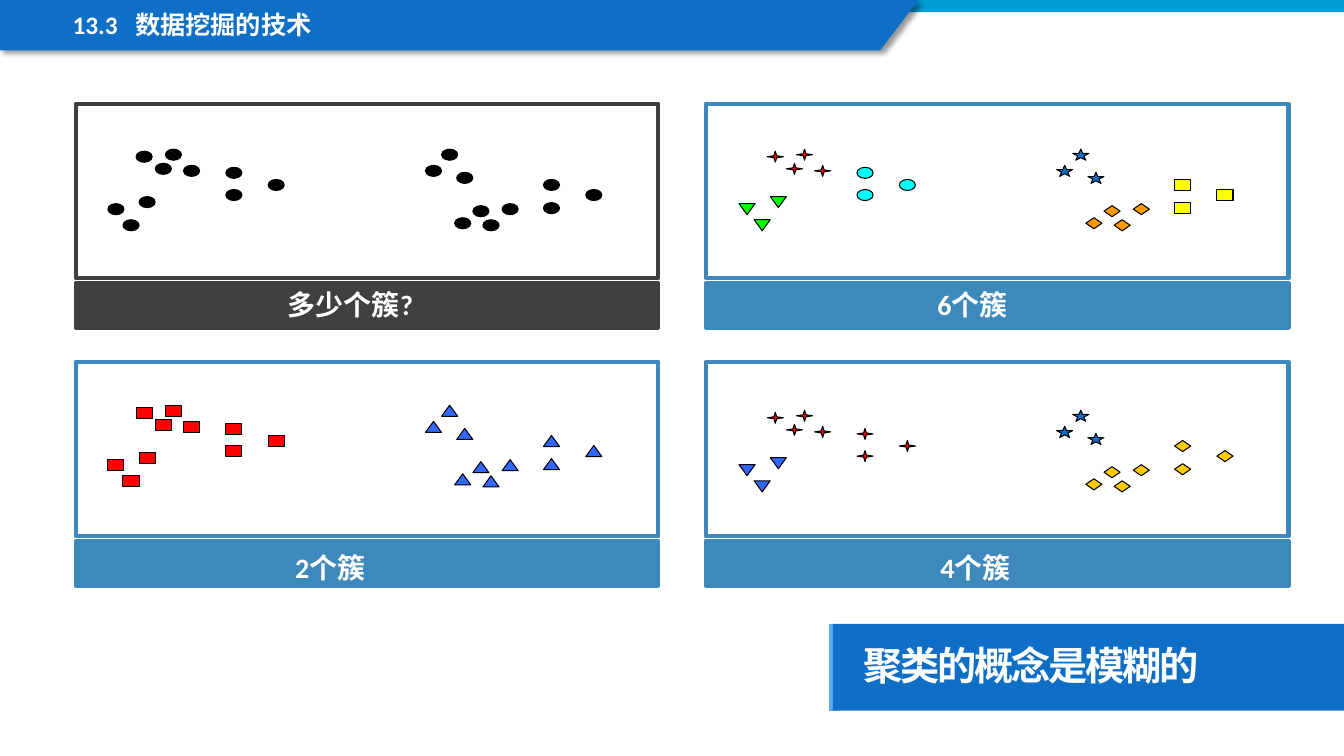
from lxml import etree
from pptx import Presentation, util as u
from pptx.dml.color import RGBColor
from pptx.enum import shapes, text
from pptx.oxml.ns import qn

PX = 9144  # EMU per px, 100 px to the inch
KIND = shapes.MSO_SHAPE
BLUE, PANEL_BLUE, DARK, WHITE = "0F6FC6", "3D89BC", "404040", "FFFFFF"
MARK_WIDTH, MARK_HEIGHT = 16, 11
PANEL_WIDTH, PANEL_HEIGHT = 578, 173
BAR_OFFSET, BAR_HEIGHT = 178, 44

# Point positions of the six natural clusters, in the first panel
CLUSTERS = {
    "left top": [(182, 164), (135, 150), (164, 148), (154, 162)],
    "left low": [(138, 195), (107, 202), (122, 218)],
    "left middle": [(224, 166), (266, 178), (224, 188)],
    "right top": [(453, 171), (422, 164), (438, 148)],
    "right low": [(498, 202), (451, 216), (479, 218), (469, 204)],
    "right far": [(539, 201), (581, 188), (539, 178)],
}

# Marks follow the order of CLUSTERS
DOT = (KIND.OVAL, "000000")
SQUARE = (KIND.RECTANGLE, "FF0000")
TRIANGLE = (KIND.ISOSCELES_TRIANGLE, "3366FF")
SPARK = (KIND.STAR_4_POINT, "FF0000")
STAR = (KIND.STAR_5_POINT, BLUE)
GOLD_DIAMOND = (KIND.DIAMOND, "FFCC00")
SIX_MARKS = [SPARK, (KIND.ISOSCELES_TRIANGLE, "00FF00"), (KIND.OVAL, "00FFFF"),
             STAR, (KIND.DIAMOND, "FF9900"), (KIND.RECTANGLE, "FFFF00")]
FOUR_MARKS = [SPARK, (KIND.FLOWCHART_EXTRACT, "3366FF"), SPARK,
              STAR, GOLD_DIAMOND, GOLD_DIAMOND]

# Panel corner, colour, caption, caption corner, shift of the marks, marks
PANELS = [
    ((75, 103), DARK, "多少个簇?", (180, 280), (0, 0), [DOT] * 6),
    ((700, 103), PANEL_BLUE, "6个簇", (797, 280), (626, 0), SIX_MARKS),
    ((75, 359), PANEL_BLUE, "2个簇", (160, 541), (0, 254),
     [SQUARE] * 3 + [TRIANGLE] * 3),
    ((700, 359), PANEL_BLUE, "4个簇", (800, 541), (626, 259), FOUR_MARKS),
]


def color(hex_string):
    return RGBColor.from_string(hex_string)


def box(*lengths):
    return [length * PX for length in lengths]


def paint(shape, fill=None, line=None, width=0.75):
    shape.shadow.inherit = False
    if fill:
        shape.fill.solid()
        shape.fill.fore_color.rgb = color(fill)
    else:
        shape.fill.background()
    if line:
        shape.line.color.rgb = color(line)
        shape.line.width = u.Pt(width)
    else:
        shape.line.fill.background()


def add_block(slide, kind, place, fill=None, line=None, width=0.75):
    shape = slide.shapes.add_shape(kind, *box(*place))
    paint(shape, fill, line, width)
    return shape


def add_run(paragraph, words, size, latin="Calibri"):
    run = paragraph.add_run()
    run.text = words
    font = run.font
    font.size, font.bold, font.name = u.Pt(size), True, latin
    font.color.rgb = color(WHITE)
    east_asian = etree.SubElement(run._r.get_or_add_rPr(), qn("a:ea"))
    east_asian.set("typeface", "Noto Sans CJK SC")
    return run


def place_placeholder(shape, place):
    """Move a placeholder to the front and return its first paragraph."""
    shape.left, shape.top, shape.width, shape.height = box(*place)
    element = shape.element
    element.getparent().append(element)
    frame = shape.text_frame
    frame.auto_size = text.MSO_AUTO_SIZE.NONE
    frame.vertical_anchor = text.MSO_ANCHOR.MIDDLE
    paragraph = frame.paragraphs[0]
    paragraph.alignment = text.PP_ALIGN.LEFT
    paragraph.line_spacing = 0.9
    paragraph.space_before = u.Pt(0)
    return paragraph


def add_decoration(slide):
    # Accent line beside the callout
    accent = slide.shapes.add_connector(
        shapes.MSO_CONNECTOR.STRAIGHT, *box(826, 705, 826, 619))
    accent.line.color.rgb = color("59AAF2")
    accent.line.width = u.Pt(6)
    etree.SubElement(accent.element.spPr, qn("a:effectLst"))

    # Top strip and slanted banner
    add_block(slide, KIND.RECTANGLE, (0, 0, 1333, 12), "009DD9")
    builder = slide.shapes.build_freeform(0, 0, scale=PX)
    builder.add_line_segments([(911, 0), (873, 50), (0, 50)], close=True)
    banner = builder.convert_to_shape()
    paint(banner, BLUE)
    effects = banner.element.spPr.find(qn("a:effectLst"))
    shadow = etree.SubElement(effects, qn("a:outerShdw"), blurRad=str(u.Pt(4)),
                              dist=str(u.Pt(3)), dir="2700000", algn="tl")
    tint = etree.SubElement(shadow, qn("a:srgbClr"), val="000000")
    etree.SubElement(tint, qn("a:alpha"), val="40000")


def add_header(slide):
    paragraph = place_placeholder(slide.shapes.title, (62, 7, 696, 38))
    properties = paragraph._p.get_or_add_pPr()
    tabs = etree.SubElement(properties, qn("a:tabLst"))
    etree.SubElement(tabs, qn("a:tab"), pos=str(62 * PX), algn="l")
    add_run(paragraph, "13.3\t数据挖掘的技术", 18)


def add_callout(slide):
    callout = slide.placeholders[1]
    paragraph = place_placeholder(callout, (826, 619, 507, 86))
    paint(callout, BLUE)
    frame = callout.text_frame
    frame.margin_left = 30 * PX
    frame.margin_top = frame.margin_right = frame.margin_bottom = 20 * PX
    properties = paragraph._p.get_or_add_pPr()
    properties.set("marL", "0")
    properties.set("indent", "0")
    etree.SubElement(properties, qn("a:buNone"))
    run = add_run(paragraph, "聚类的概念是模糊的", 28, "Noto Sans CJK SC")
    run._r.get_or_add_rPr().set("spc", "-150")


def add_caption(slide, words, corner):
    caption = slide.shapes.add_textbox(*box(*corner, 335, 53))
    caption.text_frame.word_wrap = True
    paragraph = caption.text_frame.paragraphs[0]
    paragraph.alignment = text.PP_ALIGN.CENTER
    add_run(paragraph, words, 20)


def add_marks(slide, shift, marks):
    for (name, points), (kind, fill) in zip(CLUSTERS.items(), marks):
        for x, y in points:
            place = (x + shift[0], y + shift[1], MARK_WIDTH, MARK_HEIGHT)
            mark = add_block(slide, kind, place, fill, "000000")
            if name.startswith("left"):
                mark.element.spPr.find(qn("a:xfrm")).set("flipV", "1")


def add_panel(slide, corner, tone, words, caption_corner, shift, marks):
    x, y = corner
    add_block(slide, KIND.RECTANGLE,
              (x, y + BAR_OFFSET, PANEL_WIDTH, BAR_HEIGHT), tone, tone, 3)
    add_block(slide, KIND.RECTANGLE,
              (x, y, PANEL_WIDTH, PANEL_HEIGHT), None, tone, 3)
    add_marks(slide, shift, marks)
    add_caption(slide, words, caption_corner)


def main():
    presentation = Presentation()
    presentation.slide_width, presentation.slide_height = box(1333, 750)
    slide = presentation.slides.add_slide(presentation.slide_layouts[1])
    add_decoration(slide)
    add_callout(slide)
    add_header(slide)
    for panel in PANELS:
        add_panel(slide, *panel)
    presentation.save("out.pptx")


if __name__ == "__main__":
    main()
